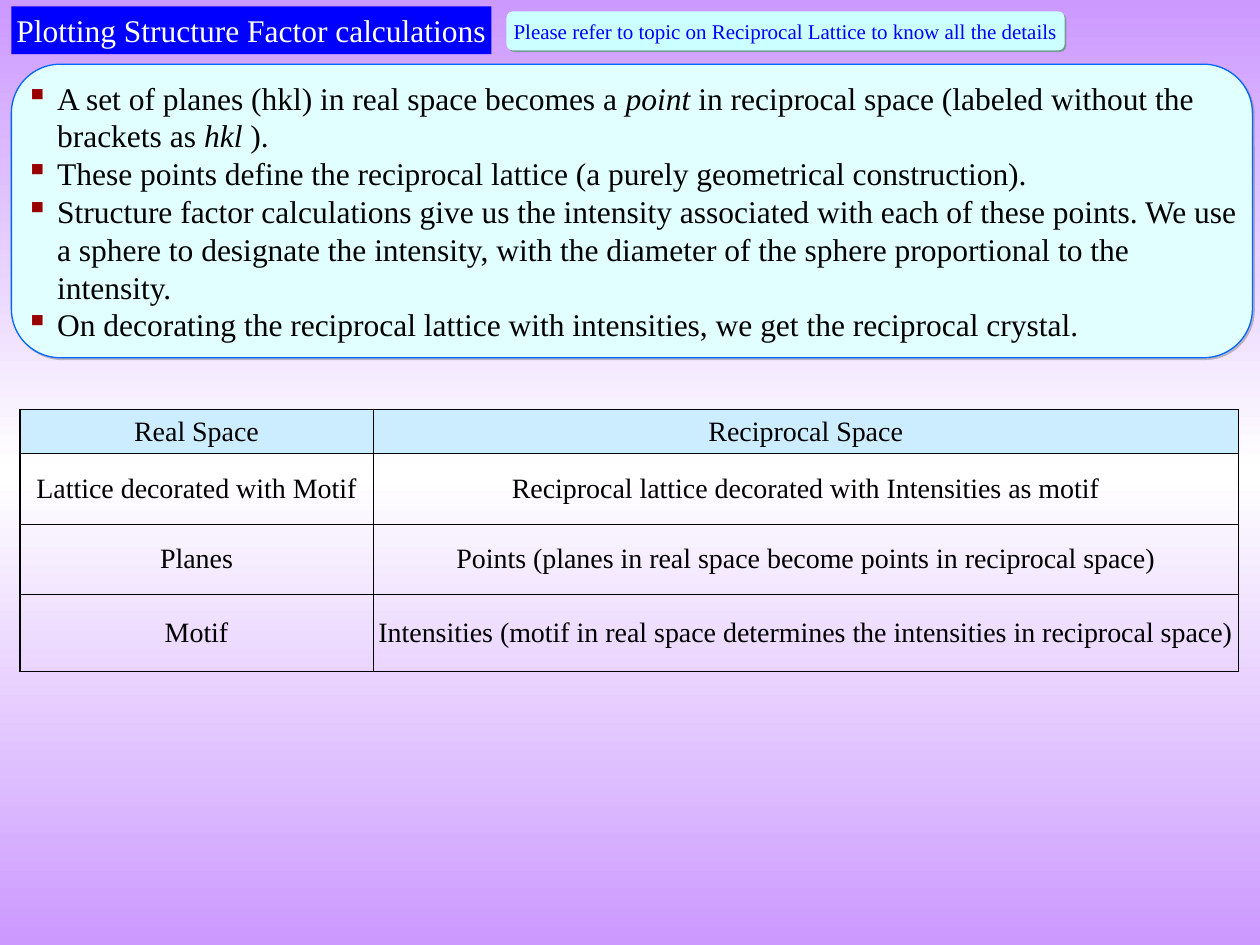
import copy
from dataclasses import dataclass

import pptx
import pptx.dml.color
import pptx.enum.shapes
import pptx.enum.text
import pptx.oxml
import pptx.oxml.ns
import pptx.util
from pptx.util import Inches

SHAPE = pptx.enum.shapes.MSO_SHAPE
ALIGN = pptx.enum.text.PP_ALIGN
ANCHOR = pptx.enum.text.MSO_ANCHOR


@dataclass(frozen=True)
class Theme:
    font: str = "Times New Roman"
    black: str = "000000"
    white: str = "FFFFFF"
    blue: str = "0000FF"
    edge: str = "0066FF"
    violet: str = "CC99FF"
    panel: str = "E1FFFF"
    note: str = "CCFFFF"
    header: str = "CCECFF"
    bullet: str = "990000"
    body_size: int = 18
    table_size: int = 16
    note_size: int = 12
    thick: float = 1.08
    thin: float = 0.45


THEME = Theme()


@dataclass(frozen=True)
class Span:
    text: str
    italic: bool = False


@dataclass(frozen=True)
class Shadow:
    colour: str
    opacity: int


@dataclass(frozen=True)
class Panel:
    kind: SHAPE
    place: tuple[float, float, float, float]
    fill: str
    text_colour: str
    size: int
    paragraphs: list[list[Span]]
    inset: float = 0.04
    anchor: ANCHOR = ANCHOR.MIDDLE
    align: ALIGN = ALIGN.LEFT
    wrap: bool = False
    bulleted: bool = False
    line: str | None = None
    shadow: Shadow | None = None


PANELS = [
    Panel(SHAPE.ROUNDED_RECTANGLE, (0.09, 0.51, 9.85, 2.33), THEME.panel, THEME.black,
          THEME.body_size, [
              [Span("A set of planes (hkl) in real space becomes a "), Span("point ", True),
               Span("in reciprocal space (labeled without the brackets as "),
               Span("hkl", True), Span(" ).")],
              [Span("These points define the reciprocal lattice "
                    "(a purely geometrical construction).")],
              [Span("Structure factor calculations give us the intensity associated with each "
                    "of these points. We use a sphere to designate the intensity, with the "
                    "diameter of the sphere proportional to the intensity.")],
              [Span("On decorating the reciprocal lattice with intensities, "
                    "we get the reciprocal crystal.")],
          ], inset=0, wrap=True, bulleted=True, line=THEME.edge, shadow=Shadow("808080", 50)),
    Panel(SHAPE.RECTANGLE, (0.09, 0.05, 3.81, 0.38), THEME.blue, THEME.white,
          THEME.body_size, [[Span("Plotting Structure Factor calculations")]],
          anchor=ANCHOR.TOP),
    Panel(SHAPE.ROUNDED_RECTANGLE, (4.02, 0.09, 4.43, 0.31), THEME.note, THEME.blue,
          THEME.note_size,
          [[Span("Please refer to topic on Reciprocal Lattice to know all the details")]],
          align=ALIGN.CENTER, shadow=Shadow("7A9999", 100)),
]

TABLE_ROWS = [
    ("Real Space", "Reciprocal Space"),
    ("Lattice decorated with Motif", "Reciprocal lattice decorated with Intensities as motif"),
    ("Planes", "Points (planes in real space become points in reciprocal space)"),
    ("Motif", "Intensities (motif in real space determines the intensities in reciprocal space)"),
]
COLUMN_WIDTHS = (2.8, 6.87)
ROW_HEIGHTS = (0.35, 0.56, 0.56, 0.61)


def rgb(colour: str) -> pptx.dml.color.RGBColor:
    return pptx.dml.color.RGBColor.from_string(colour)


def assign(target: object, values: dict[str, object]) -> None:
    for name, value in values.items():
        setattr(target, name, value)


def add_xml(parent, xml: str) -> None:
    """Append a DrawingML element whose tag has the prefix a."""
    head, mark, tail = xml.partition(" ")
    parent.append(pptx.oxml.parse_xml(f"{head} {pptx.oxml.ns.nsdecls('a')}{mark}{tail}"))


def set_font(font, size: int, colour: str) -> None:
    assign(font, {"name": THEME.font, "size": pptx.util.Pt(size)})
    font.color.rgb = rgb(colour)


def paint_background(page) -> None:
    fill = page.background.fill
    fill.gradient()
    fill.gradient_angle = 90
    stop_list = page.element.find(".//" + pptx.oxml.ns.qn("a:gsLst"))
    stop_list.append(copy.deepcopy(stop_list[0]))
    colours = (THEME.violet, THEME.white, THEME.violet)
    for index, (stop, colour) in enumerate(zip(fill.gradient_stops, colours)):
        stop.color.rgb = rgb(colour)
        stop.position = index / 2


def add_bullet(para) -> None:
    properties = para._p.get_or_add_pPr()
    properties.set("marL", str(Inches(0.25)))
    properties.set("indent", str(Inches(-0.25)))
    add_xml(properties, f'<a:buClr ><a:srgbClr val="{THEME.bullet}"/></a:buClr>')
    add_xml(properties, '<a:buChar char="▪"/>')


def add_panel(page, panel: Panel) -> None:
    box = page.shapes.add_shape(panel.kind, *map(Inches, panel.place))
    box.shadow.inherit = False
    box.fill.solid()
    box.fill.fore_color.rgb = rgb(panel.fill)
    if panel.line:
        box.line.color.rgb = rgb(panel.line)
        box.line.width = pptx.util.Pt(0.75)
    else:
        box.line.fill.background()
    if panel.shadow:
        effects = box._element.spPr.find(pptx.oxml.ns.qn("a:effectLst"))
        add_xml(effects, f'<a:outerShdw dist="{pptx.util.Pt(1.4)}" dir="2700000" algn="ctr" '
                         f'rotWithShape="0"><a:srgbClr val="{panel.shadow.colour}">'
                         f'<a:alpha val="{panel.shadow.opacity * 1000}"/></a:srgbClr>'
                         '</a:outerShdw>')
    frame = box.text_frame
    inset = Inches(panel.inset)
    assign(frame, {"margin_left": inset, "margin_right": inset, "margin_top": inset,
                   "margin_bottom": inset, "word_wrap": panel.wrap,
                   "vertical_anchor": panel.anchor})
    for index, spans in enumerate(panel.paragraphs):
        para = frame.add_paragraph() if index else frame.paragraphs[0]
        para.alignment = panel.align
        if panel.bulleted:
            add_bullet(para)
        for span in spans:
            run = para.add_run()
            run.text = span.text
            run.font.italic = span.italic
            set_font(run.font, panel.size, panel.text_colour)


def add_borders(cell, outer: dict[str, bool]) -> None:
    """Draw thick lines on the table's outer sides and thin ones elsewhere."""
    for side, is_outer in outer.items():
        width = pptx.util.Pt(THEME.thick if is_outer else THEME.thin)
        add_xml(cell._tc.get_or_add_tcPr(),
                f'<a:ln{side} w="{width}"><a:solidFill><a:srgbClr val="{THEME.black}"/>'
                f'</a:solidFill></a:ln{side}>')


def add_space_table(page) -> None:
    last_row, last_column = len(ROW_HEIGHTS) - 1, len(COLUMN_WIDTHS) - 1
    table = page.shapes.add_table(
        len(ROW_HEIGHTS), len(COLUMN_WIDTHS), Inches(0.16), Inches(3.25),
        Inches(sum(COLUMN_WIDTHS)), Inches(sum(ROW_HEIGHTS))).table
    assign(table, {"first_row": False, "horz_banding": False})
    for column, width in zip(table.columns, COLUMN_WIDTHS):
        column.width = Inches(width)
    for r, (height, texts) in enumerate(zip(ROW_HEIGHTS, TABLE_ROWS)):
        table.rows[r].height = Inches(height)
        for c, text in enumerate(texts):
            cell = table.cell(r, c)
            assign(cell, {"margin_left": Inches(0.04), "margin_right": Inches(0.04),
                          "margin_top": Inches(0.05), "margin_bottom": Inches(0.05),
                          "vertical_anchor": ANCHOR.MIDDLE})
            add_borders(cell, {"L": c == 0, "R": c == last_column,
                               "T": r == 0, "B": r == last_row})
            if r == 0:
                cell.fill.solid()
                cell.fill.fore_color.rgb = rgb(THEME.header)
            else:
                cell.fill.background()
            para = cell.text_frame.paragraphs[0]
            para.alignment = ALIGN.CENTER
            run = para.add_run()
            run.text = text
            set_font(run.font, THEME.table_size, THEME.black)


def main() -> None:
    deck = pptx.Presentation()
    assign(deck, {"slide_width": Inches(10), "slide_height": Inches(7.5)})
    page = deck.slides.add_slide(deck.slide_layouts[6])
    paint_background(page)
    for panel in PANELS:
        add_panel(page, panel)
    add_space_table(page)
    deck.save("out.pptx")


if __name__ == "__main__":
    main()
